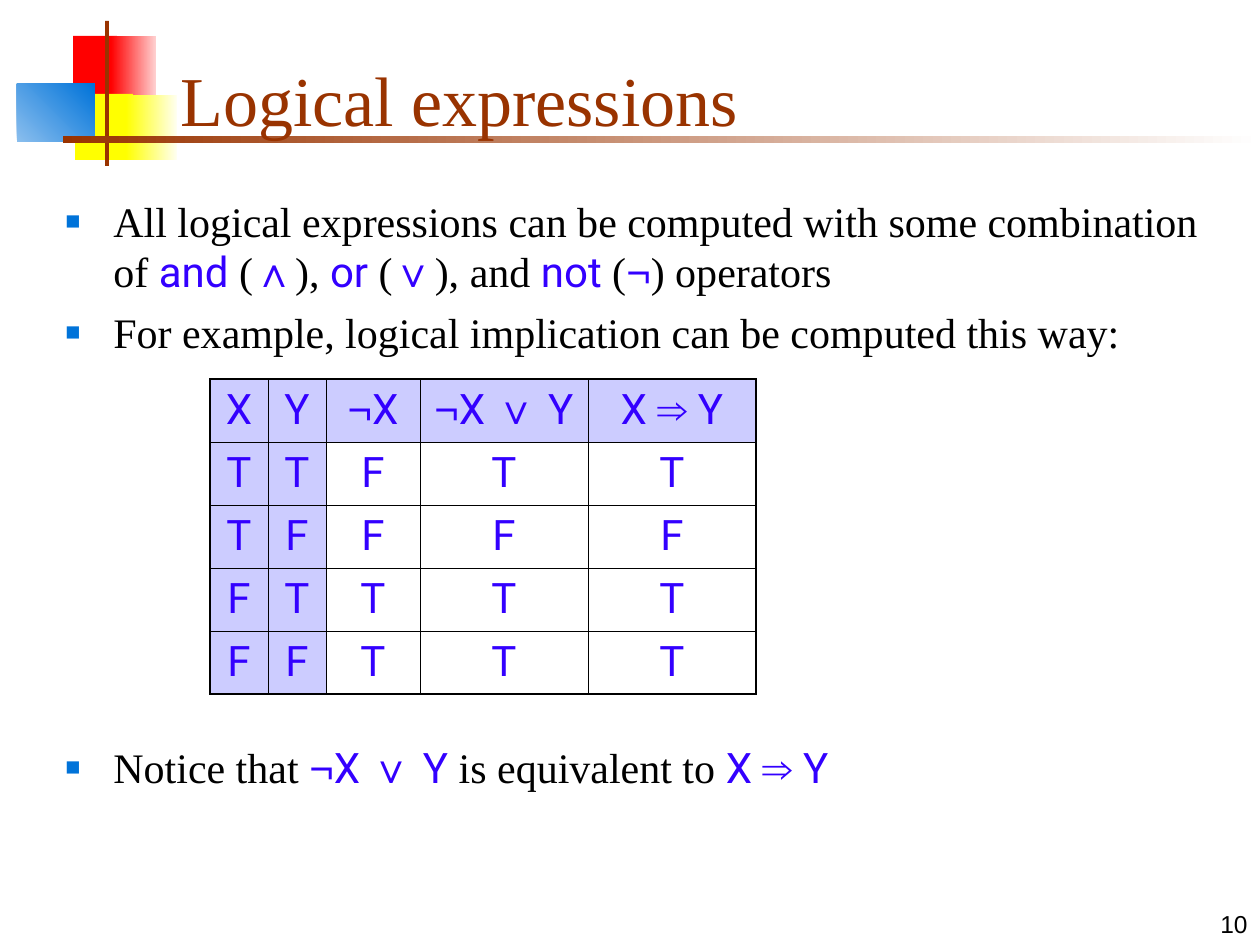
from itertools import groupby

from lxml.etree import SubElement
from pptx import Presentation
from pptx.dml.color import RGBColor
from pptx.enum.shapes import MSO_SHAPE
from pptx.enum.text import MSO_ANCHOR, MSO_AUTO_SIZE, PP_ALIGN
from pptx.oxml import parse_xml
from pptx.oxml.ns import nsdecls, qn
from pptx.util import Pt

PX_PER_INCH = 126
BLACK = RGBColor(0x00, 0x00, 0x00)
WHITE = RGBColor(0xFF, 0xFF, 0xFF)
RED = RGBColor(0xFF, 0x00, 0x00)
PALE_RED = RGBColor(0xFF, 0xD1, 0xD1)
YELLOW = RGBColor(0xFF, 0xFF, 0x00)
PALE_YELLOW = RGBColor(0xFF, 0xFF, 0xF0)
BLUE = RGBColor(0x00, 0x73, 0xD9)
PALE_BLUE = RGBColor(0x8B, 0xBF, 0xEE)
BROWN = RGBColor(0x99, 0x33, 0x00)
VIOLET = RGBColor(0x33, 0x00, 0xFF)
LAVENDER = RGBColor(0xCC, 0xCC, 0xFF)

SERIF, LOGIC, SYMBOL = "Times New Roman", "Roboto", "Arial"
OPERATORS = "∧∨¬⇒"


def px(length):
    return round(length * 914400 / PX_PER_INCH)


def write_text(paragraph, text, font=SERIF, size=24, color=BLACK,
               align=PP_ALIGN.LEFT, before=0):
    """Write text; parts between backticks are logic, set in violet."""
    paragraph.alignment = align
    paragraph.space_before = Pt(before)
    for index, part in enumerate(text.split("`")):
        is_logic = index % 2 == 1
        for is_operator, letters in groupby(part, lambda letter: letter in OPERATORS):
            run = paragraph.add_run()
            run.text = "".join(letters)
            run.font.size = Pt(size)
            run.font.name = SYMBOL if is_operator else LOGIC if is_logic else font
            run.font.color.rgb = VIOLET if is_logic else color


class LogicSlide:
    def __init__(self, slide, bullet_color=BLUE, border_color=BLACK,
                 inner_pt=0.45, outer_pt=1.08):
        self.slide = slide
        self.bullet_color = bullet_color
        self.border_color = border_color
        self.inner_pt = inner_pt
        self.outer_pt = outer_pt

    def block(self, left, top, width, height, color, end_color=None, angle=0):
        shape = self.slide.shapes.add_shape(
            MSO_SHAPE.RECTANGLE, px(left), px(top), px(width), px(height))
        shape.shadow.inherit = False
        shape.line.fill.background()
        if end_color is None:
            shape.fill.solid()
            shape.fill.fore_color.rgb = color
            return
        shape.fill.gradient()
        shape.fill.gradient_angle = angle
        for stop, stop_color, position in zip(
                shape.fill.gradient_stops, (color, end_color), (0, 1)):
            stop.color.rgb = stop_color
            stop.position = position

    def title(self, text, left, top, width, height):
        title = self.slide.shapes.title
        title.left, title.top = px(left), px(top)
        title.width, title.height = px(width), px(height)
        frame = title.text_frame
        frame.vertical_anchor = MSO_ANCHOR.BOTTOM
        frame.auto_size = MSO_AUTO_SIZE.NONE
        write_text(frame.paragraphs[0], text, size=40, color=BROWN)
        # Bring the title in front of the ornament
        self.slide.shapes.element.append(title.element)

    def text_box(self, left, top, width, height, anchor=MSO_ANCHOR.TOP):
        box = self.slide.shapes.add_textbox(px(left), px(top), px(width), px(height))
        box.text_frame.word_wrap = True
        box.text_frame.vertical_anchor = anchor
        return box.text_frame

    def bullets(self, texts, left, top, width, height):
        frame = self.text_box(left, top, width, height)
        for index, text in enumerate(texts):
            paragraph = frame.add_paragraph() if index else frame.paragraphs[0]
            properties = paragraph._p.get_or_add_pPr()
            properties.set("marL", str(px(48)))
            properties.set("indent", str(px(-48)))
            bullet_color = SubElement(properties, qn("a:buClr"))
            SubElement(bullet_color, qn("a:srgbClr"), val=str(self.bullet_color))
            SubElement(properties, qn("a:buSzPct"), val="60000")
            SubElement(properties, qn("a:buFont"), typeface=SYMBOL)
            SubElement(properties, qn("a:buChar"), char="■")
            write_text(paragraph, text, before=6 if index else 0)

    def page_number(self, number, left, top, width, height):
        frame = self.text_box(left, top, width, height, MSO_ANCHOR.BOTTOM)
        write_text(frame.paragraphs[0], str(number), font=SYMBOL, size=14,
                   align=PP_ALIGN.RIGHT)

    def borders(self, cell, outer_sides):
        properties = cell._tc.get_or_add_tcPr()
        for index, side in enumerate("LRTB"):
            width = self.outer_pt if side in outer_sides else self.inner_pt
            properties.insert(index, parse_xml(
                f'<a:ln{side} {nsdecls("a")} w="{Pt(width)}"><a:solidFill>'
                f'<a:srgbClr val="{self.border_color}"/></a:solidFill></a:ln{side}>'))

    def truth_table(self, rows, left, top, widths, row_height, input_count):
        last_row, last_column = len(rows) - 1, len(widths) - 1
        table = self.slide.shapes.add_table(
            len(rows), len(widths), px(left), px(top),
            px(sum(widths)), px(row_height * len(rows))).table
        table.first_row = table.horz_banding = False
        for column, width in zip(table.columns, widths):
            column.width = px(width)
        for r, values in enumerate(rows):
            table.rows[r].height = px(row_height)
            for c, value in enumerate(values):
                cell = table.cell(r, c)
                if r == 0 or c < input_count:
                    cell.fill.solid()
                    cell.fill.fore_color.rgb = LAVENDER
                else:
                    cell.fill.background()
                edges = {"L": c == 0, "R": c == last_column,
                         "T": r == 0, "B": r == last_row}
                self.borders(cell, [side for side in edges if edges[side]])
                write_text(cell.text_frame.paragraphs[0], f"`{value}`",
                           align=PP_ALIGN.CENTER)


def main():
    presentation = Presentation()
    presentation.slide_width, presentation.slide_height = px(1260), px(945)
    page = LogicSlide(presentation.slides.add_slide(presentation.slide_layouts[5]))

    # Corner ornament and title rule
    page.block(73, 36, 44, 65, RED)
    page.block(111, 36, 45, 65, RED, PALE_RED)
    page.block(75, 94, 58, 66, YELLOW)
    page.block(126, 95, 51, 65, YELLOW, PALE_YELLOW)
    page.block(17, 84, 78, 58, PALE_BLUE, BLUE, angle=45)
    page.block(105, 21, 4, 145, BROWN)
    page.block(63, 136, 1197, 7, BROWN, WHITE)

    page.title("Logical expressions", 168, 32, 1074, 115)

    # Statements around the table
    page.bullets([
        "All logical expressions can be computed with some combination of "
        "`and` (`∧`), `or` (`∨`), and `not` (`¬`) operators",
        "For example, logical implication can be computed this way:",
    ], 53, 189, 1187, 199)
    page.bullets(["Notice that `¬X ∨ Y `is equivalent to `X ⇒ Y`"],
                 53, 735, 1182, 110)

    # Truth table: two inputs, then derived columns
    page.truth_table([
        ("X", "Y", "¬X", "¬X ∨ Y", "X ⇒ Y"),
        *("TTFTT", "TFFFF", "FTTTT", "FFTTT"),
    ], 210, 379, [58, 58, 94, 168, 168], 63, input_count=2)

    page.page_number(10, 998, 882, 262, 63)
    presentation.save("out.pptx")


if __name__ == "__main__":
    main()
